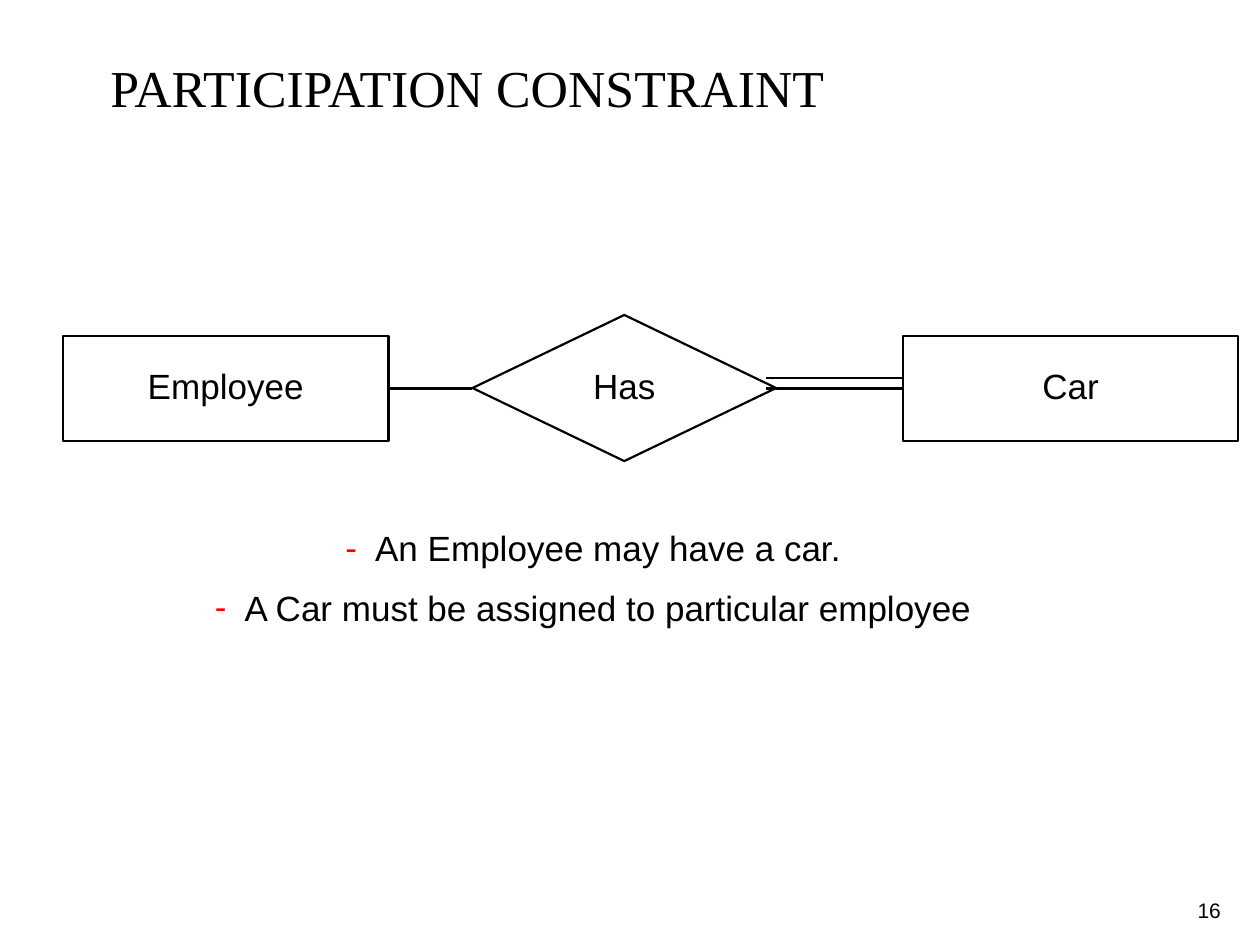
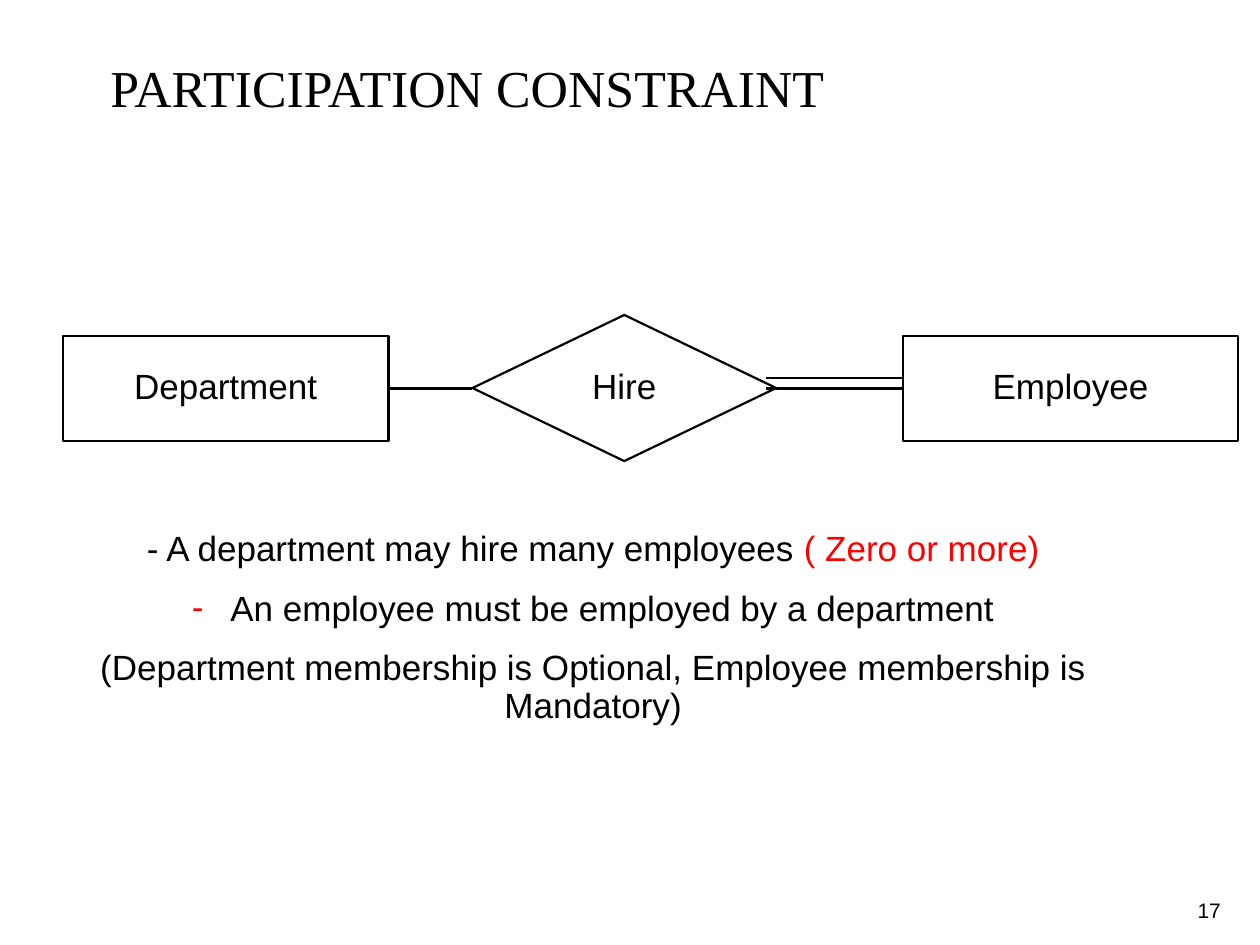
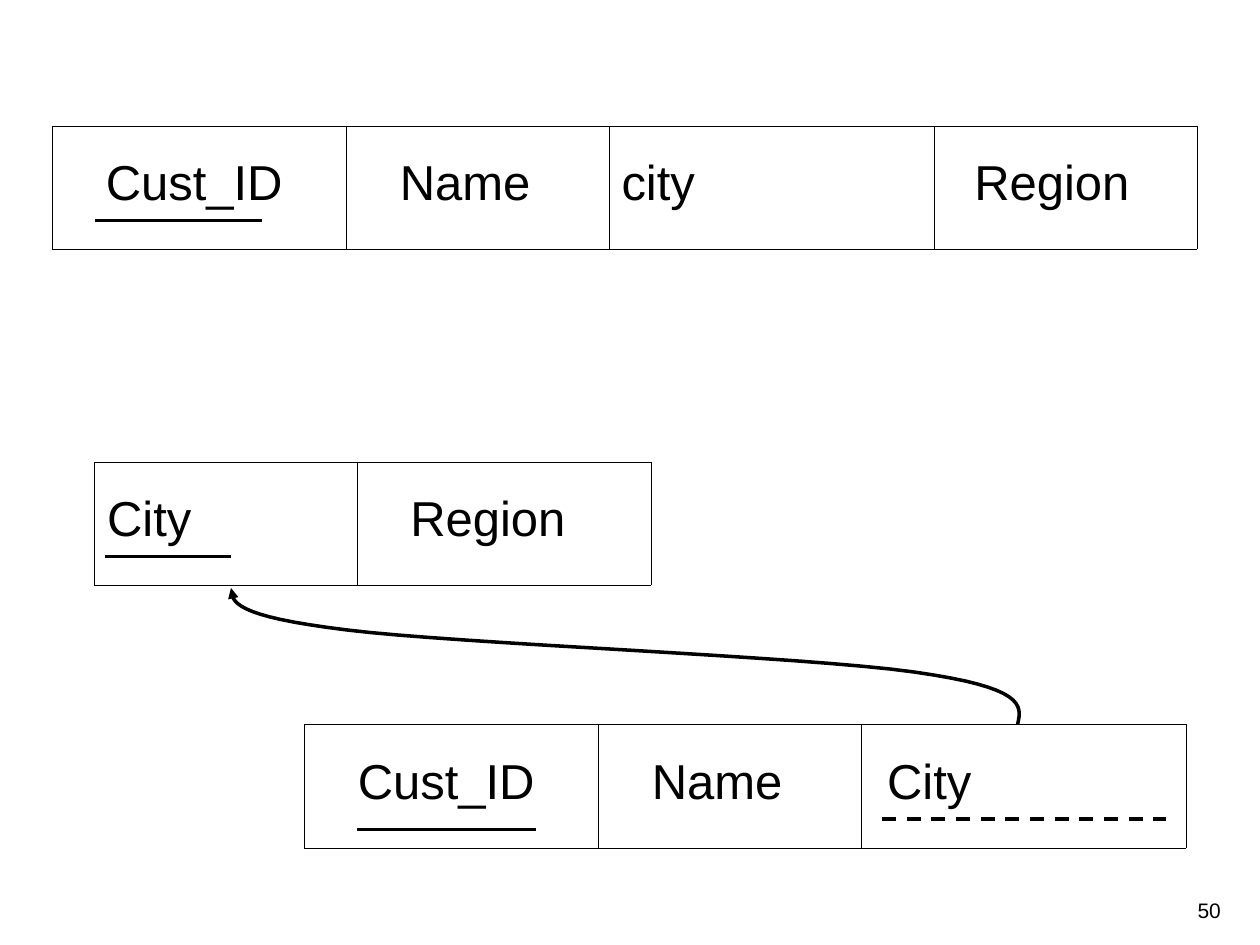
from dataclasses import dataclass
from typing import NamedTuple

from pptx import Presentation
from pptx.dml.color import RGBColor
from pptx.enum.dml import MSO_LINE
from pptx.enum.shapes import MSO_CONNECTOR, MSO_SHAPE
from pptx.enum.text import MSO_ANCHOR, PP_ALIGN
from pptx.oxml.ns import qn
from pptx.util import Pt
from lxml.etree import SubElement

BLACK, WHITE, RED = "000000", "FFFFFF", "FD0000"
BODY_FONT, TITLE_FONT = "Arial", "Times New Roman"
ENTITY_LINE, KEY_LINE, CELL_LINE = 1.25, 2, 0.1
INSET_X, INSET_Y = 7.2, 3.6
ROW_HEIGHT = 70.5
ID_WIDTH, NAME_WIDTH, CITY_WIDTH = 168, 150, 186


class Area(NamedTuple):
    left: float
    top: float
    width: float
    height: float


class Point(NamedTuple):
    x: float
    y: float


class Span(NamedTuple):
    text: str
    colour: str = BLACK


@dataclass(frozen=True)
class Statement:
    spans: list[Span]
    bullet_gap: float = 0


@dataclass(frozen=True)
class Relationship:
    number: int
    left_entity: str
    verb: str
    right_entity: str
    statements: list[Statement]


class Column(NamedTuple):
    text: str
    width: float
    indent: float = 0


@dataclass(frozen=True)
class Relation:
    left: float
    top: float
    columns: list[Column]


class KeyMark(NamedTuple):
    start: Point
    end: Point
    dashed: bool = False


RELATIONSHIPS = [
    Relationship(16, "Employee", "Has", "Car", [
        Statement([Span("An Employee may have a car.")], 17),
        Statement([Span("A Car must be assigned to particular employee")], 17),
    ]),
    Relationship(17, "Department", "Hire", "Employee", [
        Statement([Span("- A department may hire many employees "),
                   Span("( Zero or more)", RED)]),
        Statement([Span("An employee must be employed by a department")], 22),
        Statement([Span("(Department membership is Optional, "
                        "Employee membership is Mandatory)")]),
    ]),
]

CUSTOMER_COLUMNS = [Column("Cust_ID", ID_WIDTH, 23.3), Column("Name", NAME_WIDTH, 23.3)]
RELATIONS = [
    Relation(174, 414, CUSTOMER_COLUMNS + [Column("City", CITY_WIDTH, 7.8)]),
    Relation(54, 264, [Column("City", NAME_WIDTH), Column("Region", ID_WIDTH, 23.3)]),
    Relation(30, 72, CUSTOMER_COLUMNS + [Column("city", CITY_WIDTH),
                                         Column("Region", NAME_WIDTH, 15.6)]),
]
KEY_MARKS = [
    KeyMark(Point(204, 474), Point(306, 474)),
    KeyMark(Point(504, 468), Point(666, 468), dashed=True),
    KeyMark(Point(60, 318), Point(132, 318)),
    KeyMark(Point(54, 126), Point(150, 126)),
]
REFERENCE_START = Point(581.5, 414)
REFERENCE_CURVES = [
    (Point(584, 403), Point(586, 393), Point(522, 384)),
    (Point(458, 375), Point(263, 368), Point(198, 360)),
    (Point(133, 352), Point(132.5, 344), Point(132, 336)),
]


def rgb(colour: str) -> RGBColor:
    return RGBColor.from_string(colour)


def points(area: Area) -> list[Pt]:
    return [Pt(length) for length in area]


def style_paragraph(para, size: float, font: str = BODY_FONT, align=PP_ALIGN.CENTER,
                    spacing: float = 0.9) -> None:
    para.alignment = align
    para.line_spacing = spacing
    para.font.size = Pt(size)
    para.font.name = font
    para.font.color.rgb = rgb(BLACK)


def add_dash_bullet(para, gap: float) -> None:
    properties = para._p.get_or_add_pPr()
    properties.set("marL", str(Pt(gap)))
    properties.set("indent", str(-Pt(gap)))
    colour = SubElement(properties, qn("a:buClr"))
    SubElement(colour, qn("a:srgbClr"), val=RED)
    SubElement(properties, qn("a:buFont"), typeface=BODY_FONT)
    SubElement(properties, qn("a:buChar"), char="-")


def add_box(page, area: Area, inset_x: float = INSET_X, inset_y: float = INSET_Y):
    """Add a wrapping text box and return its text frame."""
    frame = page.shapes.add_textbox(*points(area)).text_frame
    frame.word_wrap = True
    frame.margin_left = frame.margin_right = Pt(inset_x)
    frame.margin_top = frame.margin_bottom = Pt(inset_y)
    return frame


def add_page(deck, number: int):
    page = deck.slides.add_slide(deck.slide_layouts[6])
    para = add_box(page, Area(673, 511, 36, 20)).paragraphs[0]
    para.text = str(number)
    style_paragraph(para, 12)
    return page


def add_title(page, text: str) -> None:
    para = add_box(page, Area(63, 36, 597, 74), 0, 0).paragraphs[0]
    para.text = text
    style_paragraph(para, 29.6, TITLE_FONT, PP_ALIGN.LEFT)


def add_statements(page, statements: list[Statement]) -> None:
    frame = add_box(page, Area(48, 300, 582, 63 if len(statements) == 2 else 119))
    for index, statement in enumerate(statements):
        para = frame.add_paragraph() if index else frame.paragraphs[0]
        if statement.bullet_gap:
            add_dash_bullet(para, statement.bullet_gap)
        style_paragraph(para, 20)
        if index:
            para.space_before = Pt(12.5)
        for span in statement.spans:
            run = para.add_run()
            run.text = span.text
            if span.colour != BLACK:
                run.font.color.rgb = rgb(span.colour)


def add_node(page, kind, area: Area, text: str) -> None:
    node = page.shapes.add_shape(kind, *points(area))
    node.shadow.inherit = False
    node.fill.background()
    node.line.color.rgb = rgb(BLACK)
    node.line.width = Pt(ENTITY_LINE)
    frame = node.text_frame
    frame.word_wrap = False
    frame.vertical_anchor = MSO_ANCHOR.MIDDLE
    frame.paragraphs[0].text = text
    style_paragraph(frame.paragraphs[0], 20)


def add_line(page, start: Point, end: Point, width: float, dashed: bool = False) -> None:
    line = page.shapes.add_connector(MSO_CONNECTOR.STRAIGHT, *(Pt(v) for v in (*start, *end)))
    line.line.color.rgb = rgb(BLACK)
    line.line.width = Pt(width)
    if dashed:
        line.line.dash_style = MSO_LINE.DASH
    SubElement(line._element.spPr, qn("a:effectLst"))


def add_relationship_page(deck, relationship: Relationship) -> None:
    page = add_page(deck, relationship.number)
    add_statements(page, relationship.statements)
    add_node(page, MSO_SHAPE.RECTANGLE, Area(36, 192, 186, 60), relationship.left_entity)
    add_node(page, MSO_SHAPE.FLOWCHART_DECISION, Area(270, 180, 173.5, 83.5),
             relationship.verb)
    add_node(page, MSO_SHAPE.RECTANGLE, Area(516, 192, 191.5, 60), relationship.right_entity)
    add_line(page, Point(222, 192), Point(222, 251.5), ENTITY_LINE)
    add_line(page, Point(222, 222), Point(269.5, 222), ENTITY_LINE)
    for y in (216, 222):
        add_line(page, Point(438, y), Point(515.5, y), ENTITY_LINE)
    add_title(page, "PARTICIPATION CONSTRAINT")


def add_cell_borders(cell) -> None:
    properties = cell._tc.get_or_add_tcPr()
    for index, side in enumerate(("a:lnL", "a:lnR", "a:lnT", "a:lnB")):
        border = properties.makeelement(qn(side), {"w": str(Pt(CELL_LINE))})
        fill = SubElement(border, qn("a:solidFill"))
        SubElement(fill, qn("a:srgbClr"), val=BLACK)
        properties.insert(index, border)


def add_relation(page, relation: Relation) -> None:
    columns = relation.columns
    area = Area(relation.left, relation.top, sum(c.width for c in columns), ROW_HEIGHT)
    table = page.shapes.add_table(1, len(columns), *points(area)).table
    table.first_row = table.horz_banding = False
    for index, column in enumerate(columns):
        table.columns[index].width = Pt(column.width)
        cell = table.cell(0, index)
        cell.fill.solid()
        cell.fill.fore_color.rgb = rgb(WHITE)
        cell.vertical_anchor = MSO_ANCHOR.MIDDLE
        cell.margin_left = Pt(INSET_X + column.indent)
        para = cell.text_frame.paragraphs[0]
        para.text = column.text
        style_paragraph(para, 28, align=PP_ALIGN.LEFT, spacing=0.81)
        add_cell_borders(cell)


def curve_points(start: Point, curves, steps: int = 16) -> list[Point]:
    """Sample a chain of cubic Bezier curves, leaving out the start."""
    sampled = []
    for curve in curves:
        controls = (start, *curve)
        for step in range(1, steps + 1):
            t = step / steps
            weights = ((1 - t) ** 3, 3 * t * (1 - t) ** 2, 3 * t * t * (1 - t), t ** 3)
            sampled.append(Point(sum(w * c.x for w, c in zip(weights, controls)),
                                 sum(w * c.y for w, c in zip(weights, controls))))
        start = curve[-1]
    return sampled


def add_reference_arrow(page) -> None:
    builder = page.shapes.build_freeform(*(Pt(v) for v in REFERENCE_START))
    path_points = curve_points(REFERENCE_START, REFERENCE_CURVES)
    builder.add_line_segments([(Pt(p.x), Pt(p.y)) for p in path_points], close=False)
    arrow = builder.convert_to_shape()
    arrow.shadow.inherit = False
    arrow.fill.background()
    arrow.line.color.rgb = rgb(BLACK)
    arrow.line.width = Pt(KEY_LINE)
    SubElement(arrow.line._get_or_add_ln(), qn("a:tailEnd"), type="triangle")


def add_relations_page(deck) -> None:
    page = add_page(deck, 50)
    for relation in RELATIONS:
        add_relation(page, relation)
    for mark in KEY_MARKS:
        add_line(page, mark.start, mark.end, KEY_LINE, mark.dashed)
    add_reference_arrow(page)


def main() -> None:
    deck = Presentation()
    deck.slide_width, deck.slide_height = Pt(720), Pt(540)
    for relationship in RELATIONSHIPS:
        add_relationship_page(deck, relationship)
    add_relations_page(deck)
    deck.save("out.pptx")


if __name__ == "__main__":
    main()
